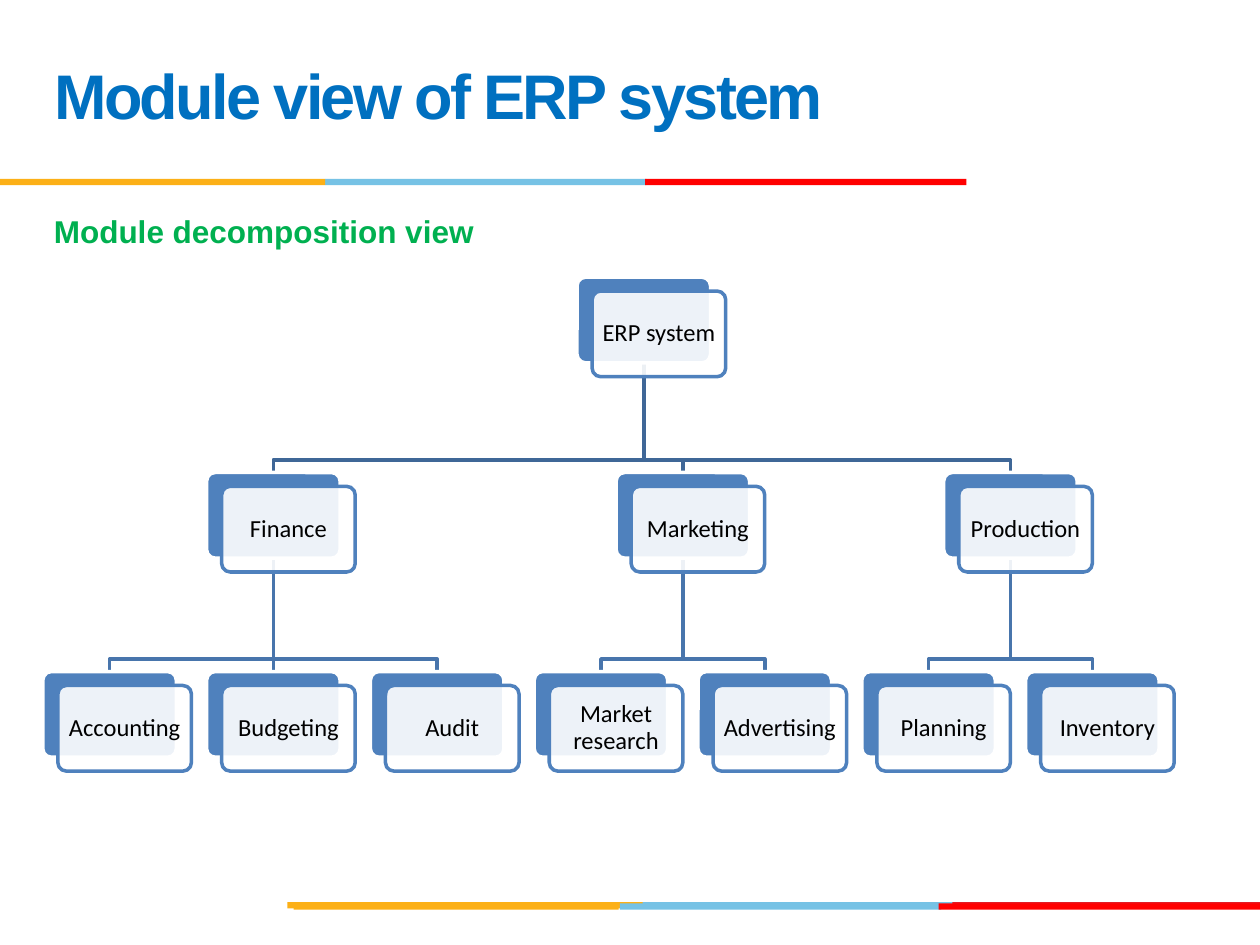
"""Build the ERP module decomposition slide."""
from dataclasses import dataclass

from lxml import etree
from pptx import Presentation
from pptx import util as u
from pptx.dml.color import RGBColor
from pptx.enum import shapes, text
from pptx.oxml.ns import qn


@dataclass(frozen=True)
class Theme:
    title: str = "0070C0"
    heading: str = "00B050"
    card: str = "4F81BD"
    white: str = "FFFFFF"
    black: str = "000000"
    upper_line: str = "3F6797"
    lower_line: str = "4875AC"
    gold: str = "FCB017"
    sky: str = "76C2E5"
    red: str = "FF0000"
    crimson: str = "E31C24"
    title_size: int = 36
    heading_size: int = 18
    card_size: int = 14
    title_font: str = "Arial"
    card_font: str = "Calibri"


def add_block(kind, left, top, width, height, fill, line=None):
    block = page.shapes.add_shape(kind, *map(u.Inches, (left, top, width, height)))
    block.shadow.inherit = False
    block.fill.solid()
    block.fill.fore_color.rgb = RGBColor.from_string(fill)
    if line:
        block.line.color.rgb = RGBColor.from_string(line)
        block.line.width = u.Pt(2)
        block.adjustments[0] = 0.1
    else:
        block.line.fill.background()
    return block


def style(para, font, size, color, bold=False):
    for span in para.runs:
        span.font.name = font
        span.font.size = u.Pt(size)
        span.font.bold = bold
        span.font.color.rgb = RGBColor.from_string(color)


theme = Theme()
deck = Presentation()
deck.slide_width, deck.slide_height = u.Inches(10), u.Inches(7.5)
page = deck.slides.add_slide(deck.slide_layouts[5])

bars = [
    (7.16, [(5.06, 2.55, theme.sky), (7.56, 2.44, theme.crimson), (2.28, 2.82, theme.gold)]),
    (7.17, [(4.92, 2.55, theme.sky), (2.33, 2.58, theme.gold), (7.45, 2.55, theme.red)]),
    (1.42, [(2.58, 2.55, theme.sky), (0, 2.58, theme.gold), (5.12, 2.55, theme.red)]),
]
for top, parts in bars:
    for left, width, color in parts:
        add_block(shapes.MSO_SHAPE.RECTANGLE, left, top, width, 0.05, color)

title = page.shapes.title
title.left, title.top = u.Inches(0.33), u.Inches(0.17)
title.width, title.height = u.Inches(6.92), u.Inches(1.25)
title.text_frame.text = "Module view of ERP system"
title.text_frame.vertical_anchor = text.MSO_ANCHOR.MIDDLE
para = title.text_frame.paragraphs[0]
para.alignment = text.PP_ALIGN.LEFT
para.line_spacing = u.Pt(36)
style(para, theme.title_font, theme.title_size, theme.title, bold=True)
para.runs[0].font._element.set("spc", "-150")

card_width, card_height = 1.06, 0.68
first_left, column_step = 0.34, 1.3
root_left, root_top, branch_top, leaf_top = 4.58, 2.2, 3.75, 5.33
branches = {
    "Finance": ["Accounting", "Budgeting", "Audit"],
    "Marketing": ["Market research", "Advertising"],
    "Production": ["Planning", "Inventory"],
}

cards = [("ERP system", root_left, root_top)]
links = []
column = 0
for branch, leaves in branches.items():
    leaf_lefts = [first_left + column_step * (column + i) for i in range(len(leaves))]
    branch_left = sum(leaf_lefts) / len(leaves)
    cards.append((branch, branch_left, branch_top))
    links.append((root_left, root_top, branch_left, branch_top, theme.upper_line))
    for leaf, leaf_left in zip(leaves, leaf_lefts):
        cards.append((leaf, leaf_left, leaf_top))
        links.append((branch_left, branch_top, leaf_left, leaf_top, theme.lower_line))
    column += len(leaves)

for parent_left, parent_top, child_left, child_top, color in links:
    start, end = parent_left + card_width / 2, child_left + card_width / 2
    bend = child_top - 0.1
    points = [(start, bend), (end, bend), (end, child_top)]
    builder = page.shapes.build_freeform(
        u.Inches(start), u.Inches(parent_top + card_height)
    )
    builder.add_line_segments([(u.Inches(x), u.Inches(y)) for x, y in points], close=False)
    link = builder.convert_to_shape()
    link.shadow.inherit = False
    link.fill.background()
    link.line.color.rgb = RGBColor.from_string(color)
    link.line.width = u.Pt(2)

for label, left, top in cards:
    rounded = shapes.MSO_SHAPE.ROUNDED_RECTANGLE
    add_block(rounded, left, top, card_width, card_height, theme.card, theme.white)
    card = add_block(
        rounded, left + 0.12, top + 0.11, card_width, card_height, theme.white, theme.card
    )
    fill_color = card._element.spPr.find(qn("a:solidFill"))[0]
    etree.SubElement(fill_color, qn("a:alpha")).set("val", "90000")
    frame = card.text_frame
    frame.word_wrap = True
    frame.vertical_anchor = text.MSO_ANCHOR.MIDDLE
    frame.margin_left = frame.margin_right = u.Inches(0.06)
    frame.margin_top = frame.margin_bottom = u.Inches(0.06)
    frame.text = label
    para = frame.paragraphs[0]
    para.alignment = text.PP_ALIGN.CENTER
    para.line_spacing = 0.9
    style(para, theme.card_font, theme.card_size, theme.black)

box = page.shapes.add_textbox(*map(u.Inches, (0.33, 1.63, 3.57, 0.4)))
box.text_frame.text = "Module decomposition view"
style(box.text_frame.paragraphs[0], theme.title_font, theme.heading_size, theme.heading, bold=True)

deck.save("out.pptx")
